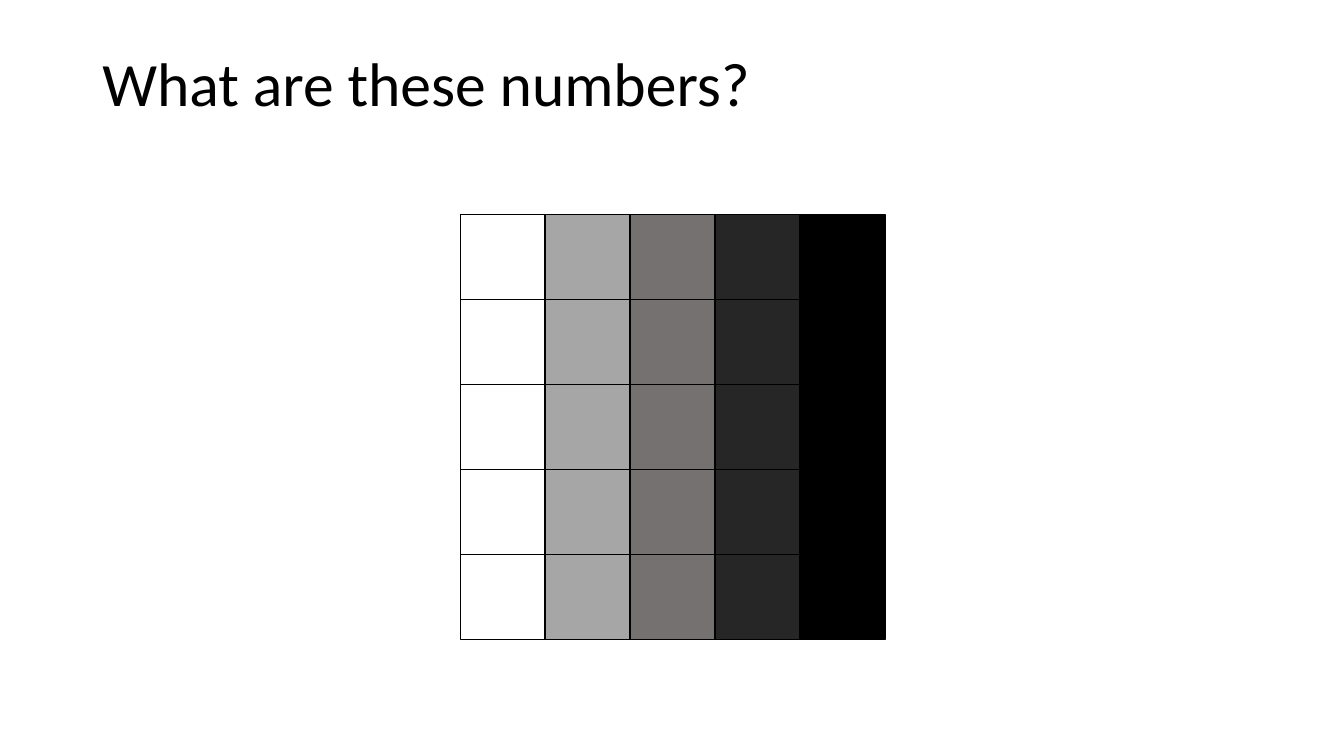
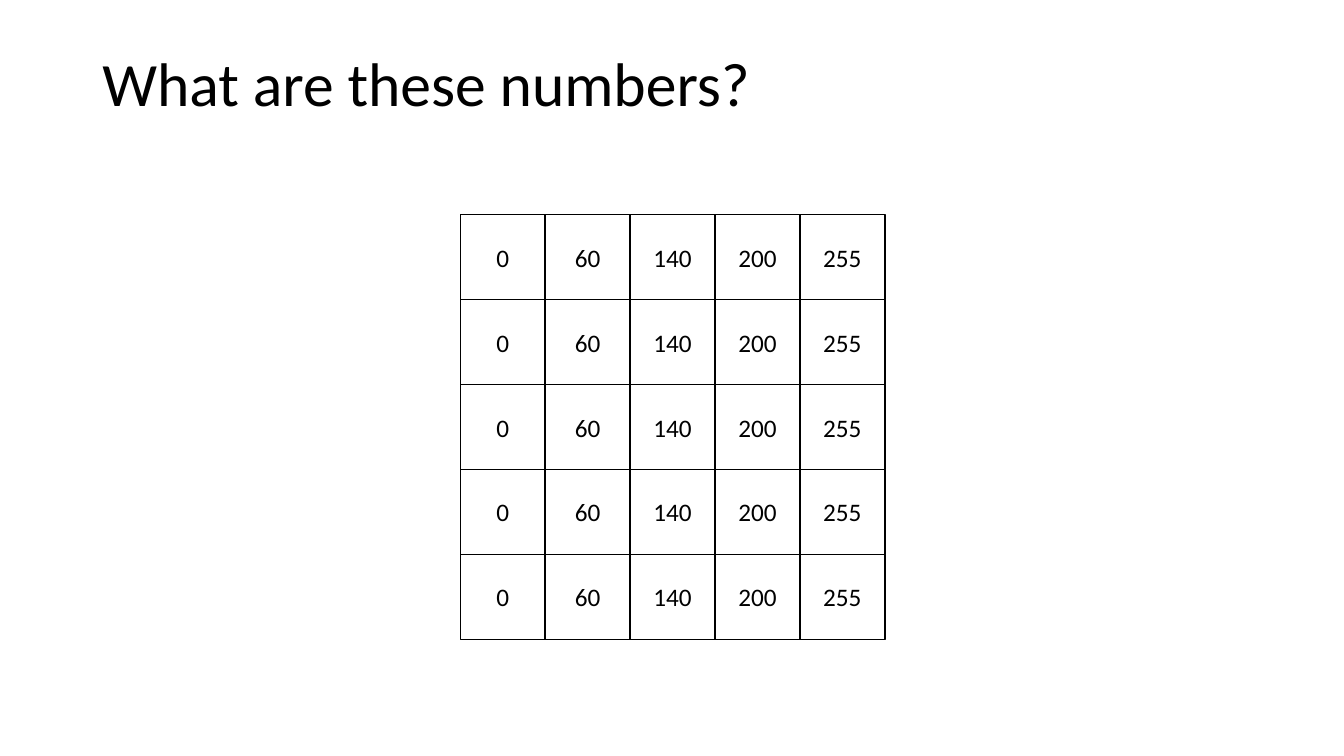
from pptx import Presentation
from pptx import util as u
from pptx.dml.color import RGBColor
from pptx.enum import shapes, text

WHITE = RGBColor(0xFF, 0xFF, 0xFF)
LIGHT_GREY = RGBColor(0xA6, 0xA6, 0xA6)
MID_GREY = RGBColor(0x76, 0x71, 0x71)
DARK_GREY = RGBColor(0x26, 0x26, 0x26)
BLACK = RGBColor(0, 0, 0)

FONT = "Calibri"
TITLE = "What are these numbers?"
TITLE_FORMAT = {"line_spacing": 0.9, "alignment": text.PP_ALIGN.LEFT}
NUMBER_FORMAT = {"alignment": text.PP_ALIGN.CENTER}

GRID_LEFT, GRID_TOP = 11.6, 5.41
CELL_SIZE = 2.14
ROWS = 5
SHADES = [WHITE, LIGHT_GREY, MID_GREY, DARK_GREY, BLACK]
NUMBERS = ["0", "60", "140", "200", "255"]


def write_text(shape, content, size, paragraph_format):
    frame = shape.text_frame
    frame.word_wrap = True
    frame.vertical_anchor = text.MSO_ANCHOR.MIDDLE
    paragraph = frame.paragraphs[0]
    paragraph.text = content
    for name, value in paragraph_format.items():
        setattr(paragraph, name, value)
    for name, value in {"name": FONT, "size": u.Pt(size)}.items():
        setattr(paragraph.font, name, value)
    paragraph.font.color.rgb = BLACK


def add_titled_slide(presentation):
    slide = presentation.slides.add_slide(presentation.slide_layouts[6])
    box = slide.shapes.add_textbox(u.Cm(2.33), u.Cm(0.33), u.Cm(29.21), u.Cm(3.68))
    write_text(box, TITLE, 44, TITLE_FORMAT)
    return slide


def add_cell(slide, row, column, fill, number):
    shape = slide.shapes.add_shape(
        shapes.MSO_SHAPE.RECTANGLE,
        u.Cm(GRID_LEFT + column * CELL_SIZE),
        u.Cm(GRID_TOP + row * CELL_SIZE),
        u.Cm(CELL_SIZE),
        u.Cm(CELL_SIZE),
    )
    shape.shadow.inherit = False
    shape.fill.solid()
    shape.fill.fore_color.rgb = fill
    shape.line.color.rgb = BLACK
    shape.line.width = u.Pt(1)
    if number:
        write_text(shape, number, 18, NUMBER_FORMAT)


def add_pixel_grid(slide, fills, numbers):
    """Draw identical rows of square pixels, one fill and number per column."""
    for row in range(ROWS):
        for column, (fill, number) in enumerate(zip(fills, numbers)):
            add_cell(slide, row, column, fill, number)


def main():
    presentation = Presentation()
    presentation.slide_width = u.Cm(33.87)
    presentation.slide_height = u.Cm(19.05)
    add_pixel_grid(add_titled_slide(presentation), SHADES, [""] * len(SHADES))
    add_pixel_grid(add_titled_slide(presentation), [WHITE] * len(NUMBERS), NUMBERS)
    presentation.save("out.pptx")


if __name__ == "__main__":
    main()
